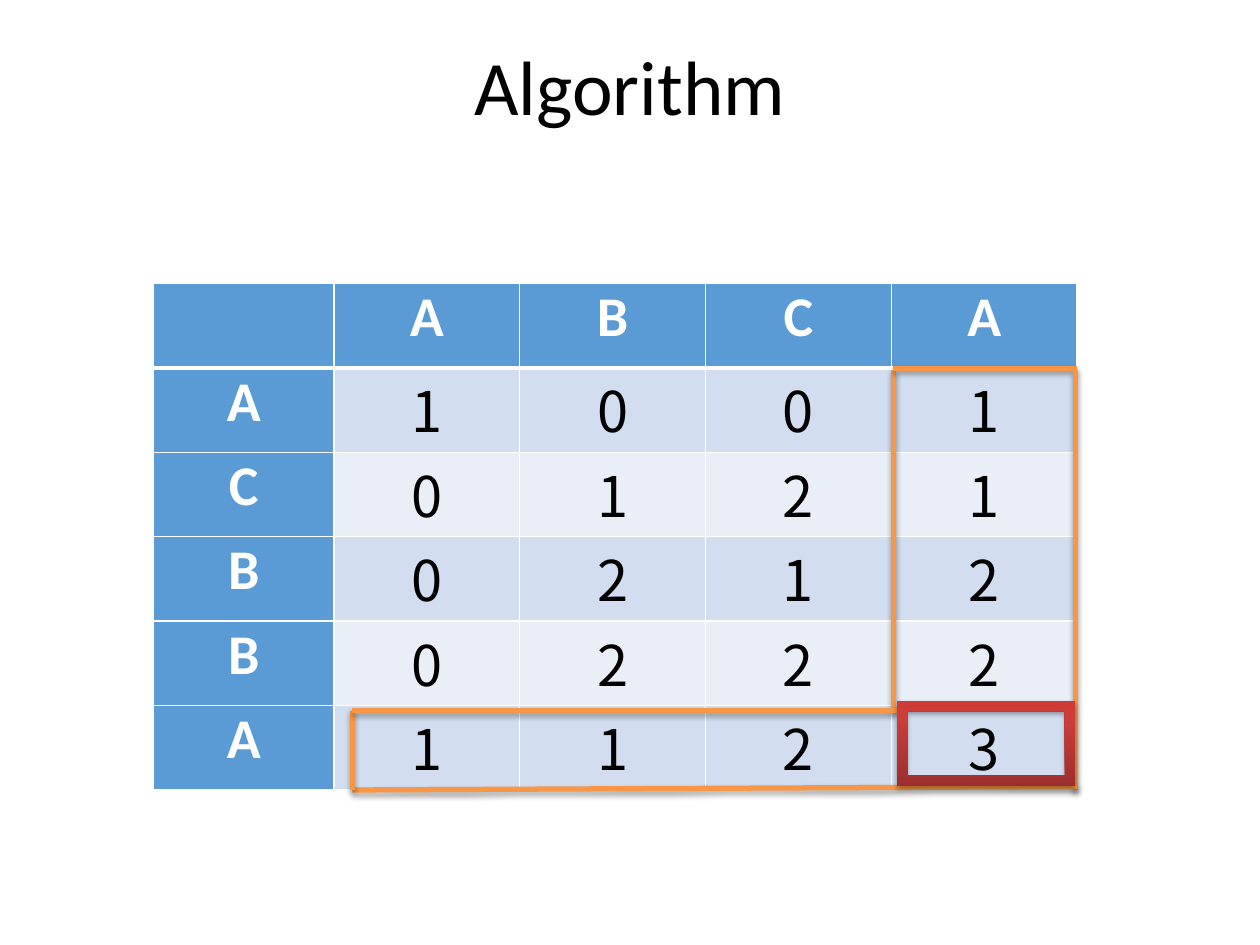
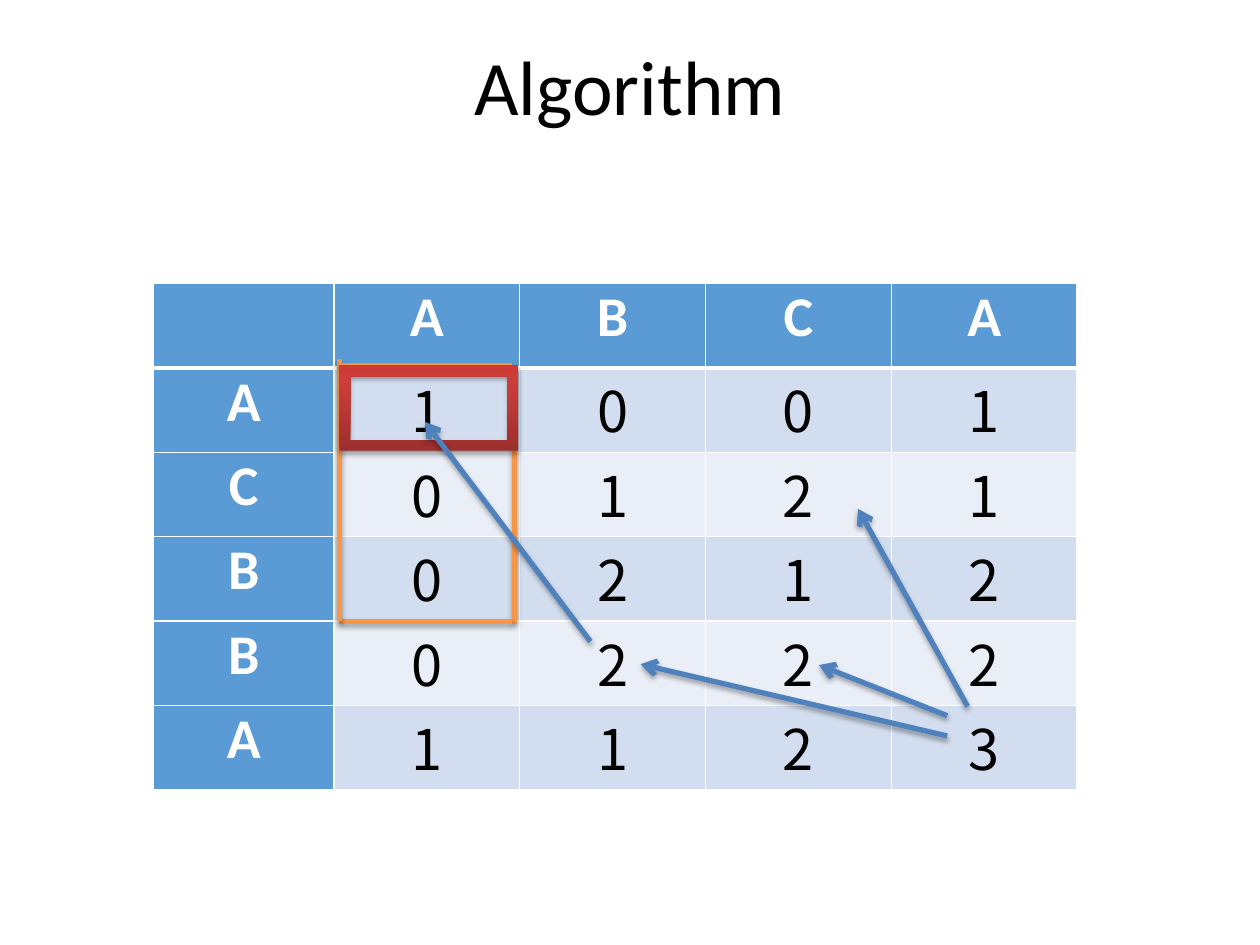
from dataclasses import dataclass

from lxml.etree import SubElement
from pptx import Presentation
from pptx.dml.color import RGBColor
from pptx.enum.shapes import MSO_CONNECTOR as Connector, MSO_SHAPE as Shape
from pptx.enum.text import MSO_ANCHOR as Anchor, PP_ALIGN as Align
from pptx.oxml.ns import qn
from pptx.util import Inches, Pt


@dataclass(frozen=True)
class Theme:
    ink: str = "000000"
    paper: str = "FFFFFF"
    header: str = "5B9BD5"
    bands: tuple = ("D2DEEF", "EAEFF7")
    outline: str = "F79646"
    arrow: str = "4F81BD"
    focus_stops: tuple = ((0, "9C2F2D"), (80, "CB3E3A"), (100, "CE3B37"))
    label_font: str = "Calibri"
    score_font: str = "Noto Sans CJK SC"
    title_size: int = 44
    cell_size: int = 32
    stroke: int = 3
    rule: int = 1


THEME = Theme()
UNIT = Inches(0.05)
SLIDE_UNITS = (200, 150)
TITLE_BOX = (10, 1, 180, 25)
BOARD_BOX = (24.4, 45, 146.6, 80.4)
LABEL_WIDTH = 28.6
FOCUS_SIZE = (0.96, 1.01)

TITLE = "Algorithm"
COLUMN_LABELS = "ABCA"
ROW_LABELS = "ACBBA"
SCORES = ("1001", "0121", "0212", "0222", "1123")

STEPS = (
    {
        "outline": (
            ((3.01, 1.03), (3.01, 5.06)),
            ((3.01, 1.01), (4, 1.01)),
            ((3.99, 1.03), (3.99, 6)),
            ((4, 5.96), (0.1, 6)),
            ((0.1, 6), (0.1, 5.06)),
            ((0.1, 5.06), (3.03, 5.06)),
        ),
        "focus": (3.03, 4.94),
        "arrows": (),
    },
    {
        "outline": (
            ((0.97, 0.97), (0.97, 4.03)),
            ((0.96, 4), (0.03, 4)),
            ((0.03, 4), (0.03, 0.9)),
            ((0.03, 0.97), (0.96, 0.97)),
        ),
        "focus": (0.03, 0.97),
        "arrows": (
            ((3.41, 5.01), (2.82, 2.67)),
            ((3.3, 5.12), (2.61, 4.52)),
            ((3.3, 5.36), (1.65, 4.51)),
            ((1.38, 4.24), (0.49, 1.64)),
        ),
    },
)


class ScoreGrid:
    def __init__(self, box):
        self.left, self.top, width, height = box
        self.column = (width - LABEL_WIDTH) / len(COLUMN_LABELS)
        self.row = height / (len(ROW_LABELS) + 1)

    def size(self, columns, rows):
        return units(columns * self.column, rows * self.row)

    def point(self, column, row):
        return units(self.left + LABEL_WIDTH + column * self.column,
                     self.top + row * self.row)


def units(*lengths):
    return [round(length * UNIT) for length in lengths]


def apply(target, formats):
    for name, value in formats.items():
        setattr(target, name, value)


def add_color(parent, color):
    return SubElement(parent, qn("a:srgbClr"), val=color)


def write(frame, text, font, size, color, bold=False):
    paragraph = frame.paragraphs[0]
    apply(paragraph, {"text": text, "alignment": Align.CENTER})
    letters = paragraph.runs[0].font
    apply(letters, {"name": font, "size": Pt(size), "bold": bold})
    letters.color.rgb = RGBColor.from_string(color)


def add_shadow(properties):
    effects = SubElement(properties, qn("a:effectLst"))
    shadow = SubElement(effects, qn("a:outerShdw"), blurRad=str(Pt(3.1)),
                        dist=str(Pt(1.8)), dir="5400000", rotWithShape="0")
    SubElement(add_color(shadow, THEME.ink), qn("a:alpha"), val="35000")


def add_title(slide, box):
    title = slide.shapes.add_textbox(*units(*box))
    frame = title.text_frame
    apply(frame, {"word_wrap": True, "vertical_anchor": Anchor.MIDDLE})
    write(frame, TITLE, THEME.label_font, THEME.title_size, THEME.ink)


def add_borders(cell, row):
    widths = {"L": THEME.rule, "R": THEME.rule,
              "T": THEME.stroke if row == 1 else THEME.rule,
              "B": THEME.stroke if row == 0 else THEME.rule}
    properties = cell._tc.get_or_add_tcPr()
    for side, width in widths.items():
        border = SubElement(properties, qn(f"a:ln{side}"), w=str(Pt(width)))
        add_color(SubElement(border, qn("a:solidFill")), THEME.paper)


def fill_cell(cell, text, row, is_label):
    add_borders(cell, row)
    cell.fill.solid()
    color = THEME.header if is_label else THEME.bands[(row - 1) % 2]
    cell.fill.fore_color.rgb = RGBColor.from_string(color)
    inset = Inches(0.07)
    apply(cell, {"margin_left": inset, "margin_right": inset,
                 "margin_top": 0, "margin_bottom": 0})
    if text:
        font = THEME.label_font if is_label else THEME.score_font
        ink = THEME.paper if is_label else THEME.ink
        write(cell.text_frame, text, font, THEME.cell_size, ink, is_label)


def add_board(slide, box, grid):
    lines = [["", *COLUMN_LABELS]]
    lines += [[label, *scores] for label, scores in zip(ROW_LABELS, SCORES)]
    board = slide.shapes.add_table(len(lines), len(lines[0]), *units(*box)).table
    apply(board, {"first_row": False, "horz_banding": False})
    for index, column in enumerate(board.columns):
        column.width = units(grid.column if index else LABEL_WIDTH)[0]
    for row, line in enumerate(lines):
        board.rows[row].height = units(grid.row)[0]
        for column, text in enumerate(line):
            fill_cell(board.cell(row, column), text, row, row == 0 or column == 0)


def add_strokes(slide, grid, strokes, color, arrowhead=False):
    for start, end in strokes:
        stroke = slide.shapes.add_connector(
            Connector.STRAIGHT, *grid.point(*start), *grid.point(*end))
        stroke.line.width = Pt(THEME.stroke)
        stroke.line.color.rgb = RGBColor.from_string(color)
        if arrowhead:
            SubElement(stroke.line._get_or_add_ln(), qn("a:tailEnd"), type="arrow")
        add_shadow(stroke._element.spPr)


def add_focus(slide, grid, corner):
    focus = slide.shapes.add_shape(
        Shape.FRAME, *grid.point(*corner), *grid.size(*FOCUS_SIZE))
    focus.fill.gradient()
    focus.fill.gradient_angle = 90
    focus.line.fill.background()
    properties = focus._element.spPr
    stops = properties.find(".//" + qn("a:gsLst"))
    for stop in list(stops):
        stops.remove(stop)
    for share, color in THEME.focus_stops:
        add_color(SubElement(stops, qn("a:gs"), pos=str(share * 1000)), color)
    add_shadow(properties)


def add_step(deck, step):
    slide = deck.slides.add_slide(deck.slide_layouts[6])
    grid = ScoreGrid(BOARD_BOX)
    add_title(slide, TITLE_BOX)
    add_board(slide, BOARD_BOX, grid)
    add_strokes(slide, grid, step["outline"], THEME.outline)
    add_focus(slide, grid, step["focus"])
    add_strokes(slide, grid, step["arrows"], THEME.arrow, arrowhead=True)


def main():
    deck = Presentation()
    width, height = units(*SLIDE_UNITS)
    apply(deck, {"slide_width": width, "slide_height": height})
    for step in STEPS:
        add_step(deck, step)
    deck.save("out.pptx")


if __name__ == "__main__":
    main()
